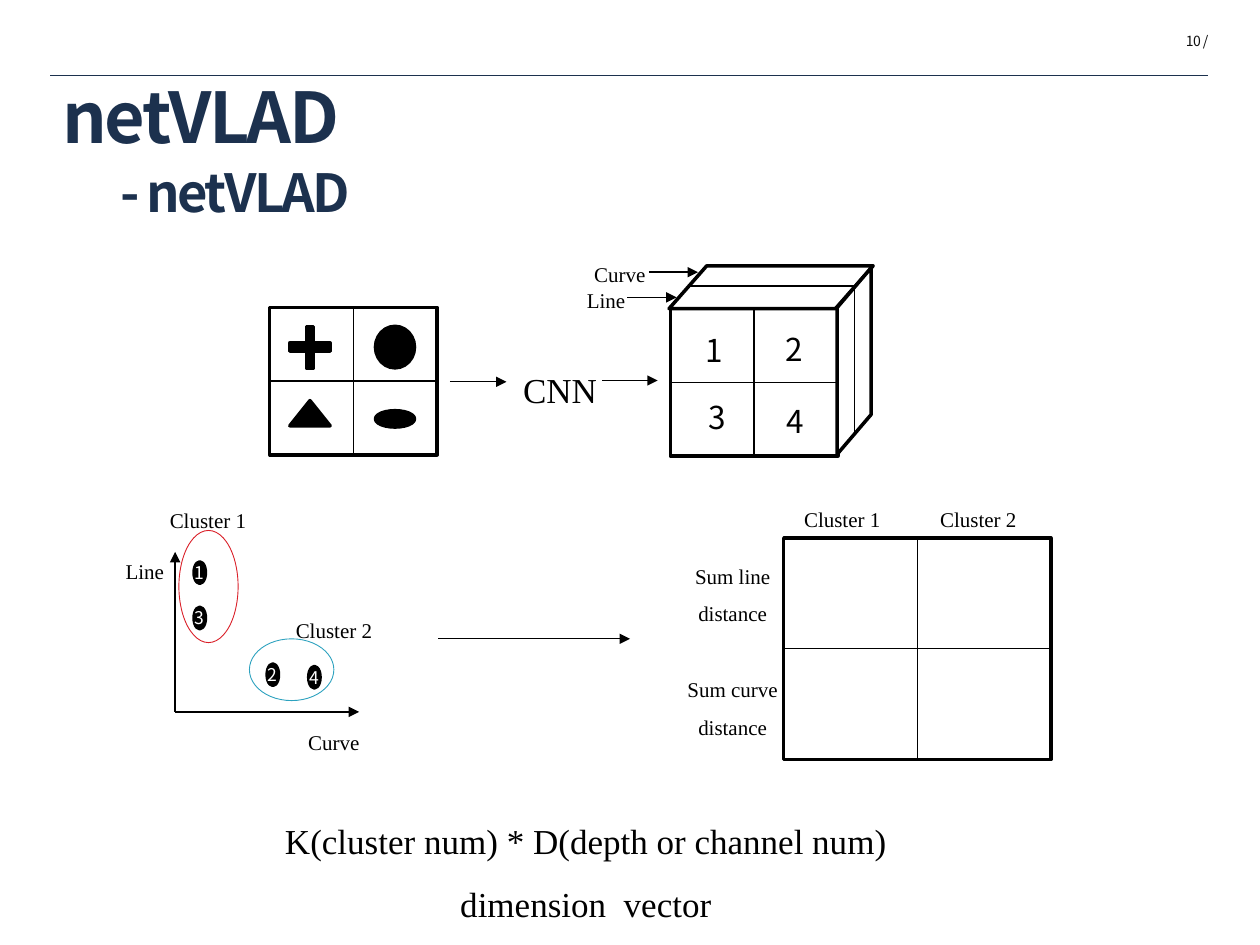
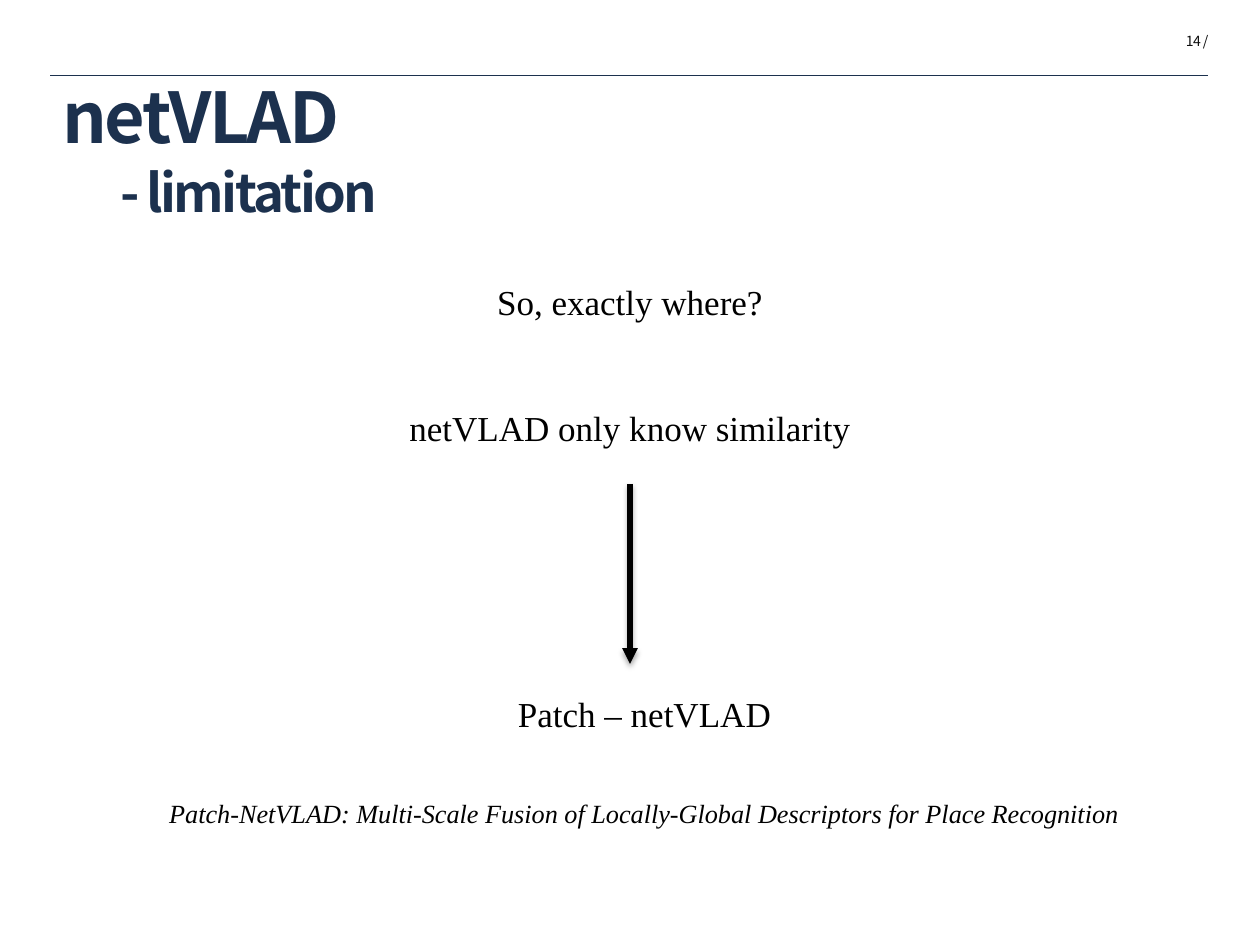
from lxml import etree
from pptx import Presentation
from pptx.dml.color import RGBColor
from pptx.enum.shapes import MSO_CONNECTOR, MSO_SHAPE
from pptx.enum.text import MSO_ANCHOR, PP_ALIGN
from pptx.oxml.ns import qn
from pptx.util import Inches, Pt

SANS, SERIF = "Noto Sans CJK KR", "Times New Roman"
NAVY, BLACK, WHITE, DARK = "1C314E", "000000", "FFFFFF", "0D0D0D"
RED, BLUE = "DA1F28", "2DA2BF"

STRAIGHT = MSO_CONNECTOR.STRAIGHT
RECT, OVAL, PLUS = MSO_SHAPE.RECTANGLE, MSO_SHAPE.OVAL, MSO_SHAPE.CROSS
TRIANGLE, PARALLELOGRAM = MSO_SHAPE.ISOSCELES_TRIANGLE, MSO_SHAPE.PARALLELOGRAM
LEFT, CENTER, RIGHT = PP_ALIGN.LEFT, PP_ALIGN.CENTER, PP_ALIGN.RIGHT
TOP, MIDDLE = MSO_ANCHOR.TOP, MSO_ANCHOR.MIDDLE
SIDE_TOP, SIDE_LEFT, SIDE_BOTTOM, SIDE_RIGHT = range(4)


def rgb(value):
    return RGBColor.from_string(value)


# Text
def style(p, size, font=SERIF, color=BLACK, align=CENTER, spacing=None,
          bold=False, tracking=0):
    p.alignment = align
    if spacing:
        p.line_spacing = spacing
    p.font.size, p.font.name, p.font.bold = Pt(size), font, bold
    p.font.color.rgb = rgb(color)
    if tracking:
        p.font._rPr.set("spc", str(round(tracking * 100)))


def add_text(slide, at, lines, size, anchor=TOP, wrap=True, **look):
    tf = slide.shapes.add_textbox(*map(Inches, at)).text_frame
    tf.word_wrap, tf.vertical_anchor = wrap, anchor
    for i, line in enumerate(lines):
        p = tf.add_paragraph() if i else tf.paragraphs[0]
        p.text = line
        style(p, size, **look)
    return tf.paragraphs


def add_label(slide, at, *lines, size=12):
    return add_text(slide, at, lines, size, spacing=1.5)


# Shapes
def add_shape(slide, kind, at, fill=BLACK, line=BLACK, width=2, adj=None):
    sp = slide.shapes.add_shape(kind, *map(Inches, at))
    sp.shadow.inherit = False
    if fill:
        sp.fill.solid()
        sp.fill.fore_color.rgb = rgb(fill)
    else:
        sp.fill.background()
    sp.line.color.rgb, sp.line.width = rgb(line), Pt(width)
    if adj:
        sp.adjustments[0] = adj
    return sp


def add_dot(slide, left, top, number):
    tf = add_shape(slide, OVAL, (left, top, 0.09, 0.17)).text_frame
    tf.margin_left = tf.margin_right = tf.margin_top = tf.margin_bottom = 0
    tf.word_wrap, tf.vertical_anchor = False, MIDDLE
    tf.text = number
    style(tf.paragraphs[0], 10, SANS, WHITE)


# Lines
def add_line(slide, start, end, color=BLACK, width=0.75):
    line = slide.shapes.add_connector(STRAIGHT, *map(Inches, (*start, *end)))
    line.line.color.rgb, line.line.width = rgb(color), Pt(width)
    etree.SubElement(line.element.spPr, qn("a:effectLst"))
    return line


def add_arrow(slide, start, end, **look):
    arrow = add_line(slide, start, end, **look)
    etree.SubElement(arrow.line._get_or_add_ln(), qn("a:tailEnd"), type="triangle")
    return arrow


def add_shadow(line, blur, distance, alpha):
    effects = line.element.spPr.find(qn("a:effectLst"))
    shadow = etree.SubElement(effects, qn("a:outerShdw"), blurRad=str(Pt(blur)),
                              dist=str(Pt(distance)), dir="5400000", rotWithShape="0")
    color = etree.SubElement(shadow, qn("a:srgbClr"), val=BLACK)
    etree.SubElement(color, qn("a:alpha"), val=str(alpha * 1000))


def add_quartered_box(slide, at):
    box = add_shape(slide, RECT, at, WHITE)
    for begin, end in ((SIDE_TOP, SIDE_BOTTOM), (SIDE_LEFT, SIDE_RIGHT)):
        divider = add_line(slide, (0, 0), (0, 0))
        divider.begin_connect(box, begin)
        divider.end_connect(box, end)


# Shared slide frame
def add_slide(prs, number, subtitle):
    slide = prs.slides.add_slide(prs.slide_layouts[6])
    add_line(slide, (0.4, 0.6), (9.59, 0.6), color=NAVY, width=0.25)
    heading = dict(anchor=MIDDLE, font=SANS, color=NAVY, align=LEFT, bold=True,
                   tracking=-1.5)
    add_text(slide, (0.4, 0.6, 8.5, 0.64), ["netVLAD"], 40, **heading)
    add_text(slide, (0.86, 1.2, 8.5, 0.64), [f"- {subtitle}"], 30, **heading)
    add_text(slide, (7.96, 0.21, 1.73, 0.24), [f"{number} /"], 8, font=SANS,
             color=DARK, align=RIGHT, tracking=-0.3)
    return slide


# Slide parts
def draw_input_image(slide):
    add_quartered_box(slide, (2.14, 2.44, 1.33, 1.17))
    add_shape(slide, PLUS, (2.3, 2.59, 0.32, 0.33), adj=0.41)
    add_shape(slide, OVAL, (2.98, 2.59, 0.31, 0.33))
    add_shape(slide, TRIANGLE, (2.3, 3.18, 0.32, 0.2))
    add_shape(slide, OVAL, (2.98, 3.26, 0.31, 0.13))
    add_arrow(slide, (3.57, 3.03), (4.02, 3.03))
    add_label(slide, (3.8, 2.71, 1.29, 0.55), "CNN", size=20)
    add_arrow(slide, (4.78, 3.02), (5.22, 3.02))


def draw_feature_cube(slide):
    add_quartered_box(slide, (5.32, 2.45, 1.33, 1.17))
    add_shape(slide, PARALLELOGRAM, (5.31, 2.11, 1.62, 0.34), WHITE, adj=0.88)
    side = add_shape(slide, PARALLELOGRAM, (6.04, 2.73, 1.48, 0.27), WHITE, adj=1.17)
    side.rotation = 90
    side.element.spPr.xfrm.set("flipH", "1")
    add_line(slide, (5.46, 2.27), (6.78, 2.27))
    add_line(slide, (6.78, 2.28), (6.78, 3.44))
    for name, left, top in (("Line", 4.49, 2.13), ("Curve", 4.6, 1.93)):
        add_label(slide, (left, top, 0.64, 0.37), name)
    add_arrow(slide, (4.98, 2.36), (5.37, 2.36))
    add_arrow(slide, (5.15, 2.16), (5.54, 2.16))
    for number, left, top in (("1", 5.5, 2.58), ("2", 6.13, 2.57),
                              ("3", 5.52, 3.11), ("4", 6.14, 3.14)):
        add_text(slide, (left, top, 0.34, 0.4), [number], 18, wrap=False, font=SANS)


def draw_cluster_plot(slide):
    origin = (1.39, 5.65)
    add_arrow(slide, origin, (1.39, 4.38))
    add_arrow(slide, origin, (2.85, 5.65))
    for number, left, top in (("1", 1.54, 4.46), ("2", 2.12, 5.27),
                              ("3", 1.54, 4.82), ("4", 2.45, 5.29)):
        add_dot(slide, left, top, number)
    add_label(slide, (0.83, 4.28, 0.64, 0.37), "Line")
    add_label(slide, (2.33, 5.64, 0.64, 0.37), "Curve")
    add_shape(slide, OVAL, (1.42, 4.21, 0.47, 0.89), None, RED, 0.5)
    add_shape(slide, OVAL, (1.98, 5.07, 0.67, 0.49), None, BLUE, 0.5)
    add_label(slide, (1.24, 3.88, 0.82, 0.37), "Cluster 1")
    add_label(slide, (2.24, 4.75, 0.82, 0.37), "Cluster 2")
    add_arrow(slide, (3.48, 5.07), (5, 5.07))


def draw_distance_matrix(slide):
    add_quartered_box(slide, (6.22, 4.27, 2.12, 1.76))
    for name, left in (("Cluster 1", 6.22), ("Cluster 2", 7.3)):
        add_label(slide, (left, 3.87, 0.93, 0.37), name)
    for name, top in (("Sum line", 4.32), ("Sum curve", 5.22)):
        add_label(slide, (5.35, top, 0.93, 0.67), name, "distance")


def draw_limitation(slide):
    claims = add_label(slide, (2.06, 2.01, 5.88, 1.56), "So, exactly where?",
                       "netVLAD only know similarity", size=20)
    claims[1].space_before = Pt(36)
    arrow = add_arrow(slide, (5, 3.84), (5, 5.27), width=3)
    add_shadow(arrow, blur=3.1, distance=1.8, alpha=35)
    answer = add_label(
        slide, (0.64, 5.28, 8.95, 1.44), "Patch – netVLAD",
        "Patch-NetVLAD: Multi-Scale Fusion of Locally-Global Descriptors "
        "for Place Recognition", size=20)
    paper = answer[1]
    paper.font.size, paper.font.italic = Pt(15), True
    paper.space_before = Pt(27)


def main():
    prs = Presentation()
    prs.slide_width, prs.slide_height = Inches(10), Inches(7.5)

    slide = add_slide(prs, 10, "netVLAD")
    draw_input_image(slide)
    draw_feature_cube(slide)
    draw_cluster_plot(slide)
    draw_distance_matrix(slide)
    add_label(slide, (1.71, 6.29, 5.88, 1.05),
              "K(cluster num) * D(depth or channel num) dimension  vector", size=20)

    draw_limitation(add_slide(prs, 14, "limitation"))
    prs.save("out.pptx")


if __name__ == "__main__":
    main()
